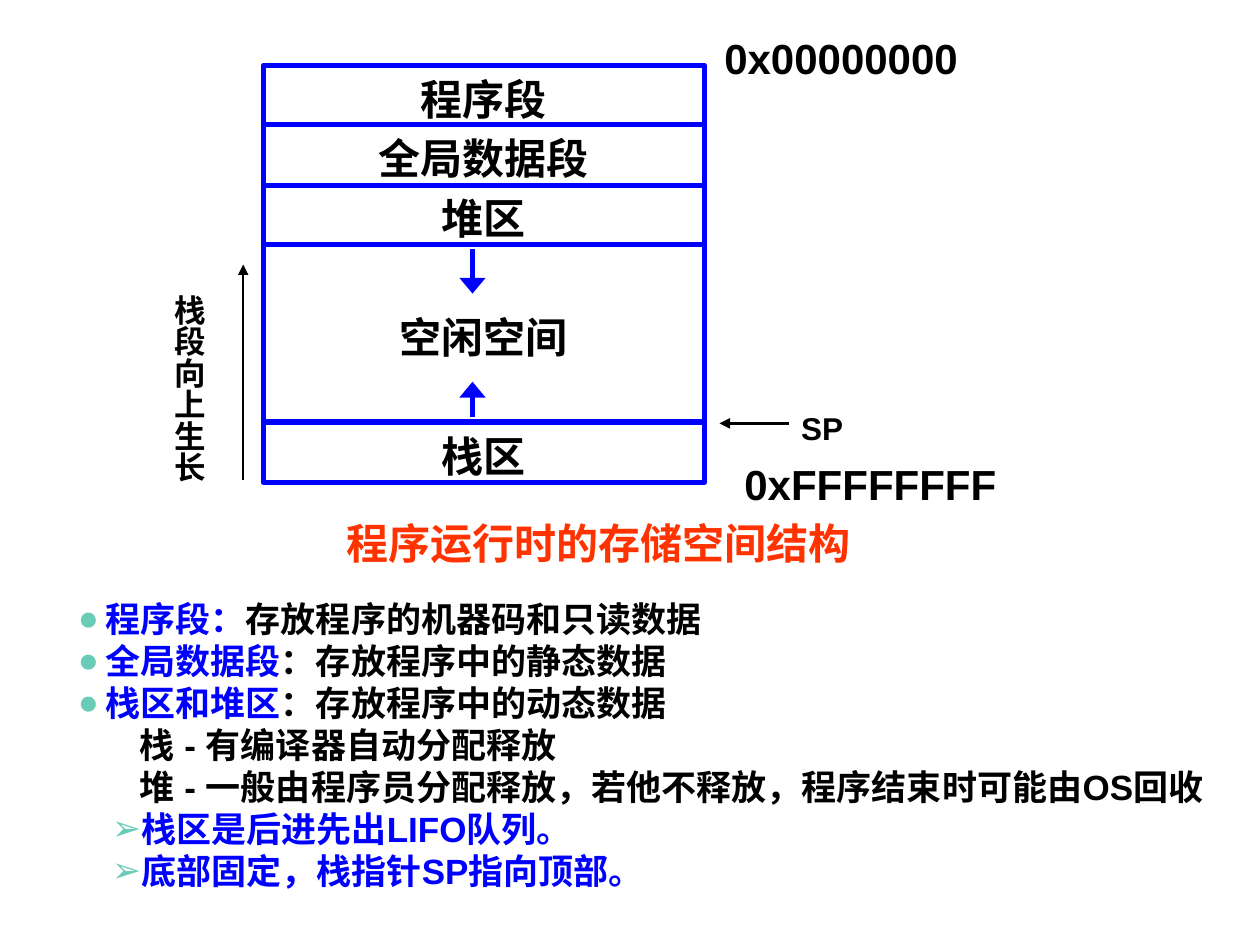
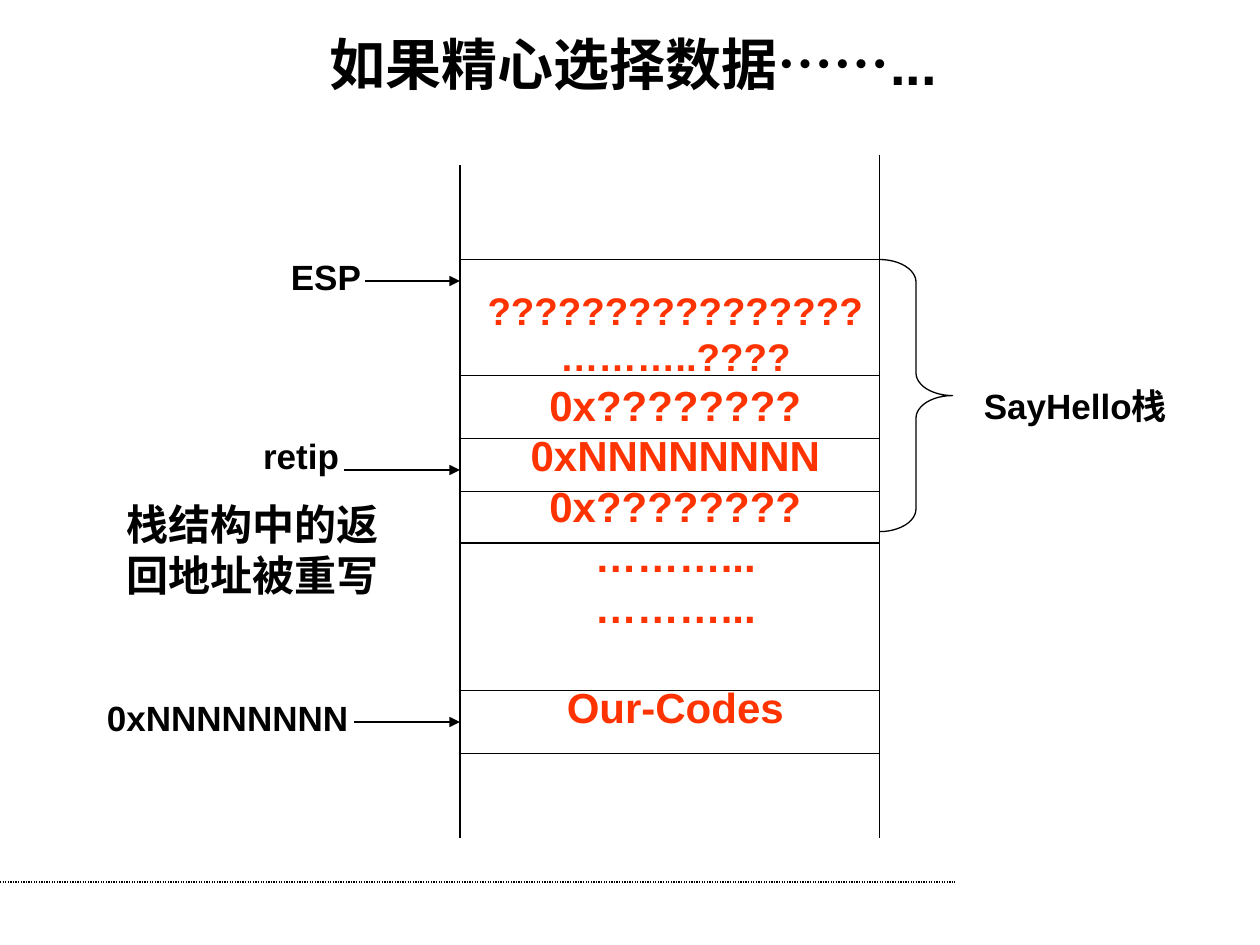
from lxml.etree import SubElement
from pptx import Presentation
from pptx.dml.color import RGBColor
from pptx.enum.dml import MSO_LINE
from pptx.enum.shapes import MSO_CONNECTOR, MSO_SHAPE
from pptx.enum.text import MSO_ANCHOR, MSO_AUTO_SIZE, PP_ALIGN
from pptx.oxml.ns import qn
from pptx.util import Inches, Pt

FONT = "Arial"
BLACK = RGBColor(0x00, 0x00, 0x00)
BLUE = RGBColor(0x00, 0x00, 0xFF)
RED = RGBColor(0xFF, 0x33, 0x00)
BULLET_GREEN = "68CCB7"
LINE_SPACING = 1.2

MEMORY_LEFT, MEMORY_WIDTH = 2.09, 3.5
MEMORY_ROWS = [
    ("程序段", 0.52, 0.47),
    ("全局数据段", 0.99, 0.48),
    ("堆区", 1.47, 0.47),
    ("空闲空间", 1.94, 1.41),
    ("栈区", 3.35, 0.48),
]
SEGMENT_NOTES = [
    ("●", 0.23, [("程序段：", BLUE), ("存放程序的机器码和只读数据", BLACK)]),
    ("●", 0.23, [("全局数据段", BLUE), ("：存放程序中的静态数据", BLACK)]),
    ("●", 0.23, [("栈区和堆区", BLUE), ("：存放程序中的动态数据", BLACK)]),
    (None, 0.5, [("栈 - 有编译器自动分配释放", BLACK)]),
    (None, 0.5, [("堆 - 一般由程序员分配释放，若他不释放，程序结束时可能由OS回收", BLACK)]),
    ("➢", 0.5, [("栈区是后进先出LIFO队列。", BLUE)]),
    ("➢", 0.5, [("底部固定，栈指针SP指向顶部。", BLUE)]),
]

STACK_LEFT, STACK_RIGHT, STACK_BOTTOM = 3.65, 6.98, 6.65
STACK_DIVIDERS = [3.48, 3.9, 4.31, 5.48, 5.98]
STACK_CONTENT = [
    ("????????????????", 22, 0),
    ("………..????", 22, 0),
    ("0x????????", 24, 0),
    ("0xNNNNNNNN", 24, 0),
    ("0x????????", 24, 0),
    ("………...", 24, 0),
    ("………...", 24, 0),
    ("Our-Codes", 24, 28.8),
]
POINTERS = [
    ("ESP", 2.21, 1.98, 1, 2.9, 2.23),
    ("retip", 1.99, 3.4, 1, 2.73, 3.73),
    ("0xNNNNNNNN", 0.75, 5.48, 2.4, 2.81, 5.73),
]


def add_run(paragraph, text, size, color=BLACK, east_asian_font=FONT):
    """Append a bold run and fix the paragraph's line height."""
    run = paragraph.add_run()
    run.text = text
    run.font.name = FONT
    run.font.size = Pt(size)
    run.font.bold = True
    run.font.color.rgb = color
    if east_asian_font:
        SubElement(run._r.get_or_add_rPr(), qn("a:ea"), typeface=east_asian_font)
    paragraph.line_spacing = Pt(size * LINE_SPACING)


def add_text_box(slide, left, top, width, height):
    """Add an empty text box and return its text frame."""
    box = slide.shapes.add_textbox(Inches(left), Inches(top), Inches(width), Inches(height))
    frame = box.text_frame
    frame.word_wrap = True
    return frame


def add_label(slide, text, left, top, width, height, size, color=BLACK):
    """Add a text box holding one label and return its text frame."""
    frame = add_text_box(slide, left, top, width, height)
    add_run(frame.paragraphs[0], text, size, color)
    return frame


def add_vertical_label(slide, text, left, top, width, height, size):
    """Add a label whose characters run from top to bottom."""
    frame = add_label(slide, text, left, top, width, height, size)
    frame.paragraphs[0].alignment = PP_ALIGN.CENTER
    frame.margin_left = frame.margin_right = Inches(0.05)
    frame.margin_top = frame.margin_bottom = Inches(0.1)
    frame._txBody.bodyPr.set("vert", "eaVert")


def add_line(slide, start, end, weight=0.75, color=BLACK, arrow_width=None):
    """Draw a straight line, with an arrowhead of the given width at its end."""
    points = [Inches(value) for value in (*start, *end)]
    connector = slide.shapes.add_connector(MSO_CONNECTOR.STRAIGHT, *points)
    connector.line.color.rgb = color
    connector.line.width = Pt(weight)
    if arrow_width:
        line_properties = connector.line._get_or_add_ln()
        SubElement(line_properties, qn("a:tailEnd"), type="triangle", w=arrow_width)
    SubElement(connector._element.spPr, qn("a:effectLst"))
    return connector


def add_outline(slide, kind, left, top, width, height, weight=0.75, color=BLACK):
    """Add an unfilled preset shape."""
    shape = slide.shapes.add_shape(
        kind, Inches(left), Inches(top), Inches(width), Inches(height)
    )
    shape.shadow.inherit = False
    shape.fill.background()
    shape.line.color.rgb = color
    shape.line.width = Pt(weight)
    return shape


def add_memory_row(slide, name, top, height):
    """Add one named segment of the memory map."""
    row = add_outline(
        slide, MSO_SHAPE.RECTANGLE, MEMORY_LEFT, top, MEMORY_WIDTH, height, 3, BLUE
    )
    frame = row.text_frame
    frame.vertical_anchor = MSO_ANCHOR.MIDDLE
    frame.margin_bottom = 0
    paragraph = frame.paragraphs[0]
    paragraph.alignment = PP_ALIGN.CENTER
    add_run(paragraph, name, 24)


def set_bullet(paragraph, bullet, indent):
    """Indent a paragraph and hang a coloured bullet before it."""
    properties = paragraph._p.get_or_add_pPr()
    properties.set("marL", str(Inches(indent)))
    if bullet:
        properties.set("indent", str(-Inches(0.22)))
        color = SubElement(properties, qn("a:buClr"))
        SubElement(color, qn("a:srgbClr"), val=BULLET_GREEN)
        SubElement(properties, qn("a:buFont"), typeface=FONT)
        SubElement(properties, qn("a:buChar"), char=bullet)


def next_paragraph(frame, index):
    """Return the first paragraph of a frame, or a new one after it."""
    return frame.add_paragraph() if index else frame.paragraphs[0]


def add_segment_notes(slide):
    """Add the bulleted notes below the memory map."""
    frame = add_text_box(slide, 0.51, 4.69, 9.49, 2.44)
    for index, (bullet, indent, runs) in enumerate(SEGMENT_NOTES):
        paragraph = next_paragraph(frame, index)
        for text, color in runs:
            add_run(paragraph, text, 20, color)
        set_bullet(paragraph, bullet, indent)


def add_stack_content(slide):
    """Add the centred column of stack values."""
    frame = add_text_box(slide, 3.71, 2.23, 3.3, 4.04)
    for index, (text, size, gap) in enumerate(STACK_CONTENT):
        paragraph = next_paragraph(frame, index)
        paragraph.alignment = PP_ALIGN.CENTER
        paragraph.space_before = Pt(gap)
        add_run(paragraph, text, size, RED)


def set_title(slide, text):
    """Place and format the slide title."""
    title = slide.shapes.title
    title.left, title.top = Inches(0.5), Inches(0.25)
    title.width, title.height = Inches(9.05), Inches(0.5)
    frame = title.text_frame
    frame.auto_size = MSO_AUTO_SIZE.NONE
    frame.vertical_anchor = MSO_ANCHOR.MIDDLE
    frame.paragraphs[0].alignment = PP_ALIGN.CENTER
    add_run(frame.paragraphs[0], text, 32, east_asian_font=None)


def build_memory_slide(presentation):
    """Build the memory layout of a running program."""
    slide = presentation.slides.add_slide(presentation.slide_layouts[6])
    for name, top, height in MEMORY_ROWS:
        add_memory_row(slide, name, top, height)
    add_line(slide, (3.75, 1.98), (3.75, 2.33), 3, BLUE, "lg")
    add_line(slide, (3.75, 3.31), (3.75, 3.03), 3, BLUE, "lg")
    add_label(slide, "程序运行时的存储空间结构", 2.65, 4.06, 4.5, 0.5, 24, RED)
    add_segment_notes(slide)
    add_label(slide, "0x00000000", 5.65, 0.21, 2.4, 0.5, 24)
    add_label(slide, "0xFFFFFFFF", 5.81, 3.59, 2.4, 0.5, 24)
    add_label(slide, "SP", 6.26, 3.2, 0.8, 0.4, 18)
    add_line(slide, (6.26, 3.36), (5.71, 3.36), 2, arrow_width="med")
    add_vertical_label(slide, "栈段向上生长", 1.2, 2.24, 0.5, 1.8, 18)
    add_line(slide, (1.93, 3.81), (1.93, 2.1), 1, arrow_width="med")


def build_stack_slide(presentation):
    """Build the stack with its overwritten return address."""
    slide = presentation.slides.add_slide(presentation.slide_layouts[5])
    footer_rule = add_line(slide, (0, 7), (7.58, 7))
    footer_rule.line.dash_style = MSO_LINE.ROUND_DOT
    set_title(slide, "如果精心选择数据……...")
    add_stack_content(slide)
    stack_width = STACK_RIGHT - STACK_LEFT
    add_outline(slide, MSO_SHAPE.RECTANGLE, STACK_LEFT, 2.06, stack_width, 0.92)
    add_line(slide, (STACK_LEFT, 1.31), (STACK_LEFT, STACK_BOTTOM), 1)
    add_line(slide, (STACK_RIGHT, 1.23), (STACK_RIGHT, STACK_BOTTOM))
    for top in STACK_DIVIDERS:
        add_line(slide, (STACK_LEFT, top), (STACK_RIGHT, top))
    for text, left, top, width, arrow_left, arrow_top in POINTERS:
        add_label(slide, text, left, top, width, 0.44, 20)
        add_line(
            slide, (arrow_left, arrow_top), (STACK_LEFT, arrow_top), arrow_width="med"
        )
    brace = add_outline(slide, MSO_SHAPE.RIGHT_BRACE, STACK_RIGHT, 2.06, 0.58, 2.16)
    brace.adjustments[0] = 0.31
    add_label(slide, "SayHello栈", 7.71, 3, 2, 0.44, 20)
    add_label(slide, "栈结构中的返回地址被重写", 0.91, 3.91, 2.36, 0.9, 24)


def main():
    """Build both slides and save the presentation."""
    presentation = Presentation()
    presentation.slide_width = Inches(10)
    presentation.slide_height = Inches(7.5)
    build_memory_slide(presentation)
    build_stack_slide(presentation)
    presentation.save("out.pptx")


if __name__ == "__main__":
    main()
